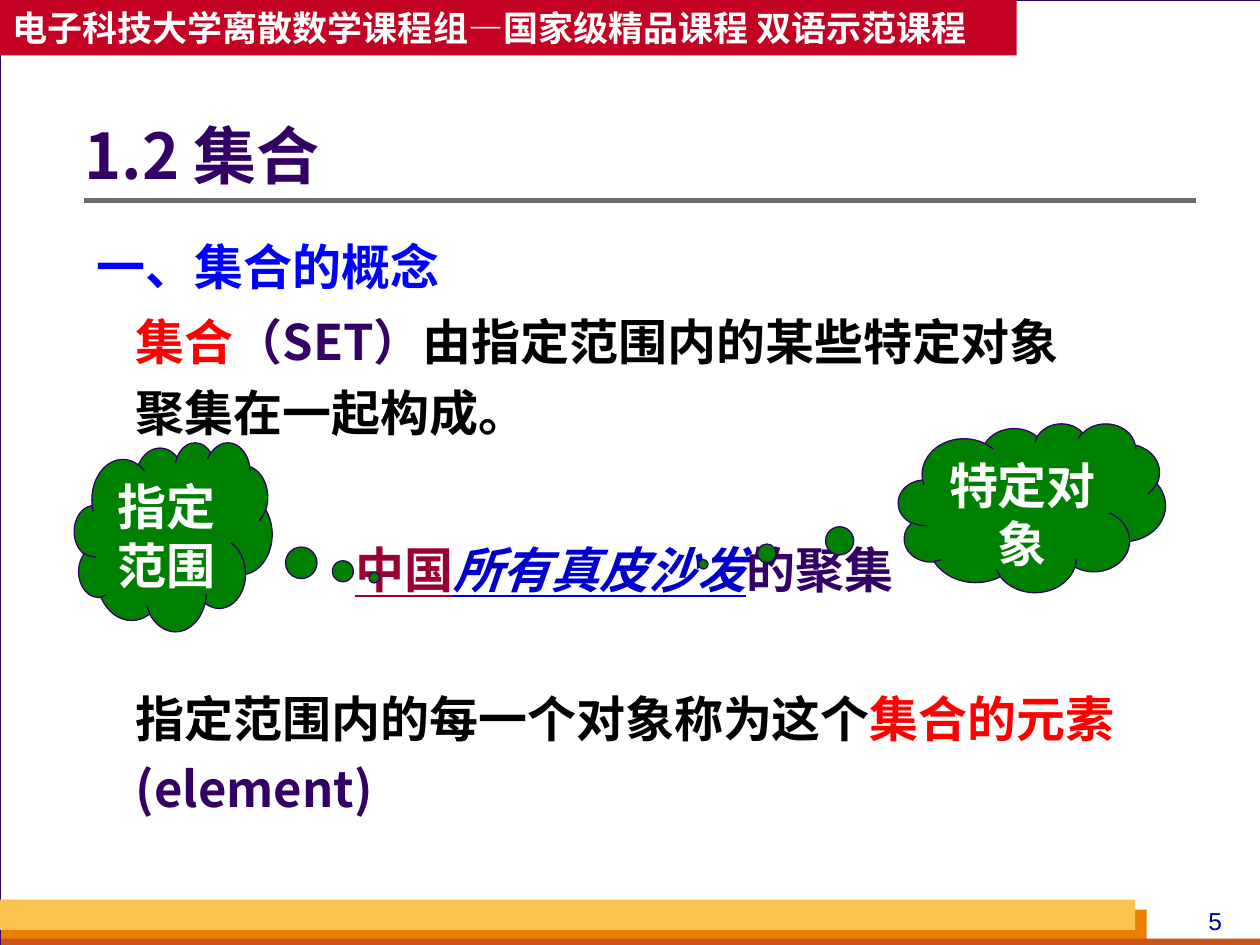
"""Build the course slide that introduces the concept of a set."""
from lxml import etree
from pptx import Presentation
from pptx.dml.color import RGBColor
from pptx.enum.shapes import MSO_CONNECTOR, MSO_SHAPE
from pptx.enum.text import MSO_ANCHOR, PP_ALIGN
from pptx.oxml.ns import qn
from pptx.util import Inches, Pt

RECT, CLOUD = MSO_SHAPE.RECTANGLE, MSO_SHAPE.CLOUD_CALLOUT
LINE = MSO_CONNECTOR.STRAIGHT
TOP, MIDDLE = MSO_ANCHOR.TOP, MSO_ANCHOR.MIDDLE
LEFT, CENTER = PP_ALIGN.LEFT, PP_ALIGN.CENTER

WHITE = RGBColor(0xFF, 0xFF, 0xFF)
BLACK = RGBColor(0, 0, 0)
PURPLE = RGBColor(0x33, 0x00, 0x66)
RED = RGBColor(0xFF, 0, 0)
BLUE = RGBColor(0, 0, 0xFF)
NAVY = RGBColor(0, 0, 0x99)
INK = RGBColor(0, 0, 0xCC)
WINE = RGBColor(0x99, 0x00, 0x33)
GREEN = RGBColor(0, 0x80, 0)
CRIMSON = RGBColor(0xC3, 0x02, 0x24)
ORANGE = RGBColor(0xE8, 0x80, 0)
RUST = RGBColor(0xC9, 0x56, 0x16)
GOLD = RGBColor(0xFC, 0xC2, 0x4F)
GRAY = RGBColor(0x6B, 0x6B, 0x6B)
BACK = RGBColor(0xD8, 0xDA, 0xDA)

SANS, ARIAL = "Noto Sans CJK SC", "Arial"
WIDE, HIGH = 10, 7.5
MARGIN, INDENT, SPAN = 0.67, 0.98, 8.82
RULE = 1.59

BARS = [
    ((0.01, 7.22, 9.09, 0.28), ORANGE),
    ((0.01, 7.45, WIDE, 0.08), RUST),
    ((0, 7.14, 9.01, 0.24), GOLD),
]
BANNER = "电子科技大学离散数学课程组—国家级精品课程 双语示范课程"
TITLE = "1.2 集合"
TEXTS = [
    ((MARGIN, 1.78, 8.5, 0.64), 1.1, [("一、集合的概念", BLUE, "")]),
    ((INDENT, 2.33, 7.76, 1.22), 1.2, [
        ("集合", RED, ""),
        ("（SET）", PURPLE, ""),
        ("由指定范围内的某些特定对象聚集在一起构成。", BLACK, ""),
    ]),
    ((INDENT, 5.32, 8.21, 1.22), 1.2, [
        ("指定范围内的每一个对象称为这个", BLACK, ""),
        ("集合的元素", RED, ""),
        ("(element)", PURPLE, ""),
    ]),
    ((2.72, 4.14, 5.75, 0.66), 1.2, [
        ("中国", WINE, "u"),
        ("所有真皮沙发", INK, "ui"),
        ("的聚集", PURPLE, ""),
    ]),
]
CLOUDS = [
    ((0.59, 3.51, 1.57, 1.5), (1.016, 0.217), "指定范围"),
    ((7.13, 3.36, 2.12, 1.34), (-1.23, 0.335), "特定对象"),
]


def write(shape, parts, size=28, face=SANS, bold=True, align=LEFT,
          anchor=TOP, space=1.0, wrap=True):
    frame = shape.text_frame
    frame.word_wrap = wrap
    frame.vertical_anchor = anchor
    para = frame.paragraphs[0]
    para.alignment, para.line_spacing = align, space
    for text, color, style in parts:
        run = para.add_run()
        run.text = text
        font = run.font
        font.name, font.size, font.bold = face, Pt(size), bold
        font.color.rgb = color
        font.underline, font.italic = "u" in style, "i" in style
        east = etree.SubElement(run._r.get_or_add_rPr(), qn("a:ea"))
        east.set("typeface", SANS)


def draw(slide, kind, box, fill, edge=None):
    shape = slide.shapes.add_shape(kind, *map(Inches, box))
    shape.shadow.inherit = False
    shape.fill.solid()
    shape.fill.fore_color.rgb = fill
    if edge is None:
        shape.line.fill.background()
    else:
        shape.line.color.rgb = edge
        shape.line.width = Pt(0.75)
    return shape


def label(slide, box, parts, **look):
    shape = slide.shapes.add_textbox(*map(Inches, box))
    write(shape, parts, **look)
    return shape


def main():
    deck = Presentation()
    deck.slide_width, deck.slide_height = Inches(WIDE), Inches(HIGH)
    slide = deck.slides.add_slide(deck.slide_layouts[6])
    slide.background.fill.solid()
    slide.background.fill.fore_color.rgb = BACK

    draw(slide, RECT, (0, 0, WIDE + 0.01, HIGH), WHITE, PURPLE)
    for box, color in BARS:
        draw(slide, RECT, box, color)
    label(slide, (9.33, 7.14, 0.63, 0.34), [("5", NAVY, "")],
          size=14, face=ARIAL, bold=False, align=CENTER)

    ends = (MARGIN, RULE, MARGIN + SPAN, RULE)
    rule = slide.shapes.add_connector(LINE, *map(Inches, ends))
    rule.line.color.rgb, rule.line.width = GRAY, Pt(3)
    etree.SubElement(rule._element.spPr, qn("a:effectLst"))

    banner = draw(slide, RECT, (0, 0, 8.07, 0.44), CRIMSON)
    write(banner, [(BANNER, WHITE, "")], size=20, anchor=MIDDLE, wrap=False)
    title = label(slide, (MARGIN, 0.76, SPAN, 1.01), [(TITLE, PURPLE, "")],
                  size=36, anchor=MIDDLE, space=0.9)
    title.text_frame.margin_left = 0

    for box, space, parts in TEXTS:
        label(slide, box, parts, space=space)
    for box, tail, text in CLOUDS:
        cloud = draw(slide, CLOUD, box, GREEN, PURPLE)
        cloud.adjustments[0], cloud.adjustments[1] = tail
        write(cloud, [(text, WHITE, "")], face=ARIAL, align=CENTER)

    deck.save("out.pptx")


if __name__ == "__main__":
    main()
